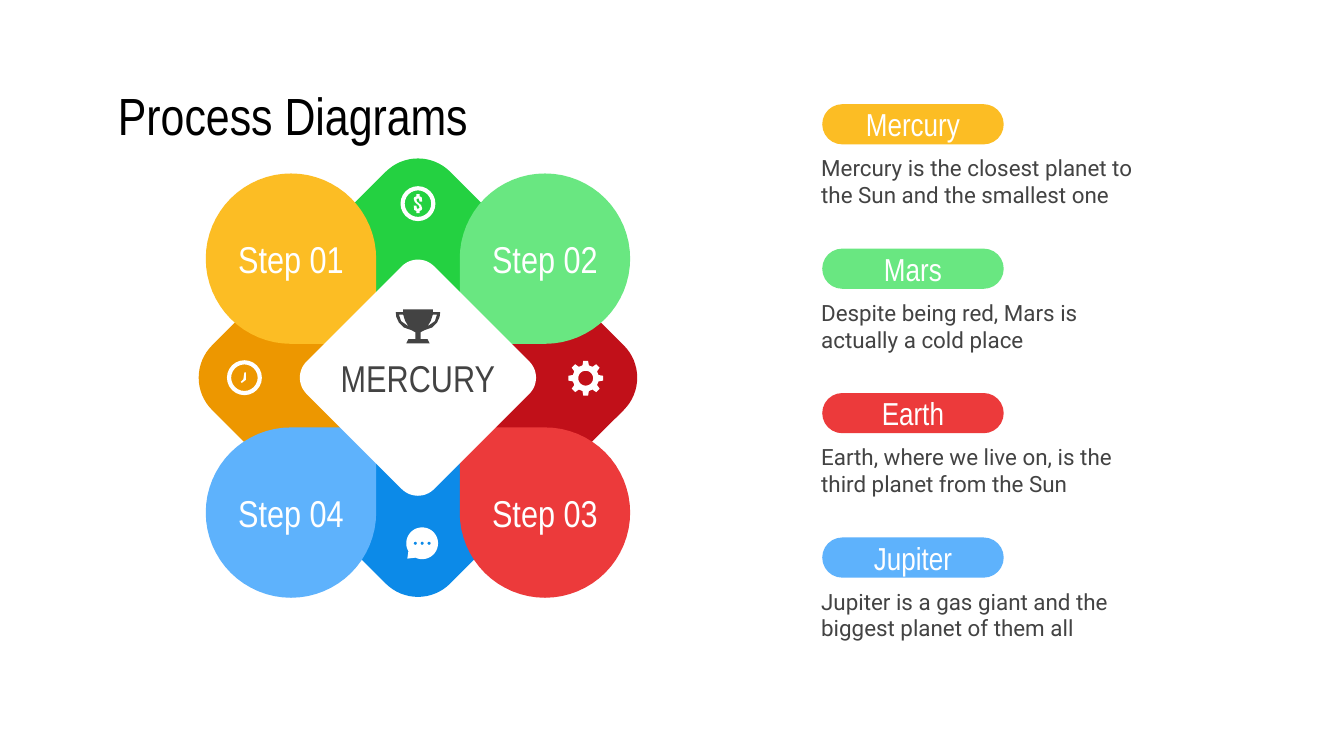
from dataclasses import dataclass
from math import cos, hypot, pi, radians, sin

from pptx import Presentation
from pptx.dml.color import RGBColor
from pptx.enum.shapes import MSO_SHAPE
from pptx.enum.text import MSO_ANCHOR, PP_ALIGN
from pptx.util import Cm, Pt

PILL, RING = MSO_SHAPE.ROUNDED_RECTANGLE, MSO_SHAPE.DONUT
LEFT, CENTER = PP_ALIGN.LEFT, PP_ALIGN.CENTER
TOP, MIDDLE = MSO_ANCHOR.TOP, MSO_ANCHOR.MIDDLE

Point = tuple[float, float]
Contour = list[Point]


@dataclass(frozen=True)
class Theme:
    black: str = "000000"
    white: str = "FFFFFF"
    gray: str = "434343"
    yellow: str = "FCBD24"
    orange: str = "ED9700"
    mint: str = "69E781"
    green: str = "24D141"
    red: str = "EC3A3B"
    crimson: str = "C11019"
    sky: str = "5EB2FC"
    blue: str = "0C8AE8"
    heading_font: str = "Arial Narrow"
    body_font: str = "Roboto"
    title_size: float = 28
    step_size: float = 20
    pill_size: float = 17
    body_size: float = 12


@dataclass(frozen=True)
class Step:
    label: str
    planet: str
    text: str
    color: str
    wing_color: str
    side: Point
    wing: Point


T = Theme()
STEPS = [
    Step("Step 01", "Mercury", "Mercury is the closest planet to the Sun and the smallest one",
         T.yellow, T.orange, (-1, -1), (-1, 0)),
    Step("Step 02", "Mars", "Despite being red, Mars is actually a cold place",
         T.mint, T.green, (1, -1), (0, -1)),
    Step("Step 03", "Earth", "Earth, where we live on, is the third planet from the Sun",
         T.red, T.crimson, (1, 1), (1, 0)),
    Step("Step 04", "Jupiter", "Jupiter is a gas giant and the biggest planet of them all",
         T.sky, T.blue, (-1, 1), (0, 1)),
]

CX, CY = 7.9, 7.14
PETAL_CY, PETAL_OFFSET, PETAL_RADIUS = 7.29, 2.4, 1.61
WING_HALF, WING_ROUND = 2.25, 0.86
CORE_HALF, CORE_ROUND = 2.41, 0.43
CORNERS = [(-1, -1), (1, -1), (1, 1), (-1, 1)]
TIPS = [(0, -1), (1, 0), (0, 1), (-1, 0)]


def arc(x: float, y: float, r: float, start: float = 0, end: float = 360) -> Contour:
    angles = [radians(start + (end - start) * i / 48) for i in range(49)]
    return [(x + r * cos(a), y + r * sin(a)) for a in angles]


def rounded(vertices: Contour, radii: list[float]) -> Contour:
    points = []
    for i, ((x, y), r) in enumerate(zip(vertices, radii)):
        if r == 0:
            points.append((x, y))
            continue
        sides = []
        for nx, ny in (vertices[i - 1], vertices[(i + 1) % len(vertices)]):
            length = hypot(nx - x, ny - y)
            sides.append(((nx - x) / length, (ny - y) / length))
        (ux, uy), (vx, vy) = sides
        for k in range(17):
            c, n = 1 - cos(k * pi / 32), 1 - sin(k * pi / 32)
            points.append((x + r * (vx * c + ux * n), y + r * (vy * c + uy * n)))
    return points


def around(x: float, y: float, reach: float, directions: Contour) -> Contour:
    return [(x + dx * reach, y + dy * reach) for dx, dy in directions]


def mirrored(half: Contour) -> Contour:
    return half + [(-x, y) for x, y in reversed(half)]


def paint(s, color: str):
    s.shadow.inherit = False
    s.fill.solid()
    s.fill.fore_color.rgb = RGBColor.from_string(color)
    s.line.fill.background()
    return s


def add_outline(shapes, contours: list[Contour], color: str, x: float = 0, y: float = 0):
    paths = [[(Cm(x + px), Cm(y + py)) for px, py in c] for c in contours]
    builder = shapes.build_freeform(*paths[0][0], scale=1.0)
    for i, path in enumerate(paths):
        if i:
            builder.move_to(*path[0])
        builder.add_line_segments(path[1:], close=True)
    return paint(builder.convert_to_shape(), color)


def add_preset(shapes, kind, x: float, y: float, w: float, h: float, color: str, adj: float):
    s = paint(shapes.add_shape(kind, Cm(x), Cm(y), Cm(w), Cm(h)), color)
    s.adjustments[0] = adj
    return s


def write(s, text: str, *, size: float, color: str, font: str = T.heading_font,
          align=CENTER, anchor=MIDDLE) -> None:
    tf = s.text_frame
    tf.word_wrap = True
    tf.vertical_anchor = anchor
    tf.margin_left = tf.margin_right = tf.margin_top = tf.margin_bottom = Cm(0.25)
    p = tf.paragraphs[0]
    p.alignment = align
    r = p.add_run()
    r.text = text
    r.font.size = Pt(size)
    r.font.name = font
    r.font.color.rgb = RGBColor.from_string(color)


def add_wing(shapes, step: Step) -> None:
    dx, dy = step.wing
    x, y = CX + dx * WING_HALF, CY + dy * WING_HALF
    radii = [WING_ROUND if tip == step.wing else 0 for tip in TIPS]
    add_outline(shapes, [rounded(around(x, y, WING_HALF, TIPS), radii)], step.wing_color)


def add_petal(shapes, step: Step) -> None:
    dx, dy = step.side
    x, y = CX + dx * PETAL_OFFSET, PETAL_CY + dy * PETAL_OFFSET
    radii = [0.25 if corner == (-dx, -dy) else PETAL_RADIUS for corner in CORNERS]
    s = add_outline(shapes, [rounded(around(x, y, PETAL_RADIUS, CORNERS), radii)], step.color)
    write(s, step.label, size=T.step_size, color=T.white)


def add_core(shapes) -> None:
    diamond = rounded(around(CX, CY, CORE_HALF, TIPS), [CORE_ROUND] * 4)
    s = add_outline(shapes, [diamond], T.white)
    write(s, "MERCURY", size=T.step_size, color=T.gray)
    cup = [(0.28, 0), (0.28, 0.05), (0.42, 0.05), (0.41, 0.14), (0.36, 0.25), (0.27, 0.34),
           (0.13, 0.39), (0.05, 0.43), (0.05, 0.56), (0.18, 0.56), (0.22, 0.64)]
    handle = [(0.28, 0.1), (0.36, 0.1), (0.32, 0.22), (0.18, 0.32), (0.24, 0.22)]
    other_handle = [(-x, y) for x, y in handle]
    add_outline(shapes, [mirrored(cup), handle, other_handle], T.gray, CX, 5.85)


def add_icons(shapes) -> None:
    half_dollar = [(-0.03, -0.18), (0.03, -0.18), (0.03, -0.14), (0.07, -0.12), (0.08, -0.04),
                   (0.03, -0.04), (0.02, -0.09), (0, -0.1), (-0.03, -0.08), (-0.02, -0.04),
                   (0.06, 0.03), (0.08, 0.09), (0.07, 0.12), (0.03, 0.14)]
    dollar = half_dollar + [(-x, -y) for x, y in half_dollar]
    hand = [(0, -0.1), (0.03, -0.1), (0.03, 0.04), (-0.05, 0.1), (-0.07, 0.08), (-0.02, 0.03)]
    for x, y, mark in ((CX, 3.85, dollar), (4.62, CY, hand)):
        add_preset(shapes, RING, x - 0.33, y - 0.33, 0.66, 0.66, T.white, 0.12)
        add_outline(shapes, [mark], T.white, x, y)

    profile = [(-14, 0.25), (-8, 0.33), (8, 0.33), (14, 0.25)]
    gear = [(r * cos(radians(45 * i + a)), r * sin(radians(45 * i + a)))
            for i in range(8) for a, r in profile]
    add_outline(shapes, [gear, arc(0, 0, 0.14)], T.white, 11.07, 7.15)

    bubble = arc(0, 0, 0.3, 150, 475) + [(-0.28, 0.29)]
    dots = [arc(x, 0, 0.03) for x in (-0.13, 0, 0.13)]
    add_outline(shapes, [bubble, *dots], T.white, 7.98, 10.27)


def add_legend(shapes, step: Step, y: float) -> None:
    s = shapes.add_textbox(Cm(15.27), Cm(y + 0.7), Cm(6.48), Cm(1.47))
    write(s, step.text, size=T.body_size, color=T.gray, font=T.body_font, align=LEFT, anchor=TOP)
    s = add_preset(shapes, PILL, 15.54, y, 3.43, 0.76, step.color, 0.5)
    write(s, step.planet, size=T.pill_size, color=T.white)


def main() -> None:
    prs = Presentation()
    prs.slide_width, prs.slide_height = Cm(25.4), Cm(14.29)
    shapes = prs.slides.add_slide(prs.slide_layouts[6]).shapes
    title = shapes.add_textbox(Cm(1.98), Cm(1.5), Cm(9.07), Cm(1.35))
    write(title, "Process Diagrams", size=T.title_size, color=T.black, align=LEFT)
    for step in STEPS:
        add_wing(shapes, step)
    for step in STEPS:
        add_petal(shapes, step)
    add_icons(shapes)
    add_core(shapes)
    for i, step in enumerate(STEPS):
        add_legend(shapes, step, 1.97 + 2.73 * i)
    prs.save("out.pptx")


if __name__ == "__main__":
    main()
